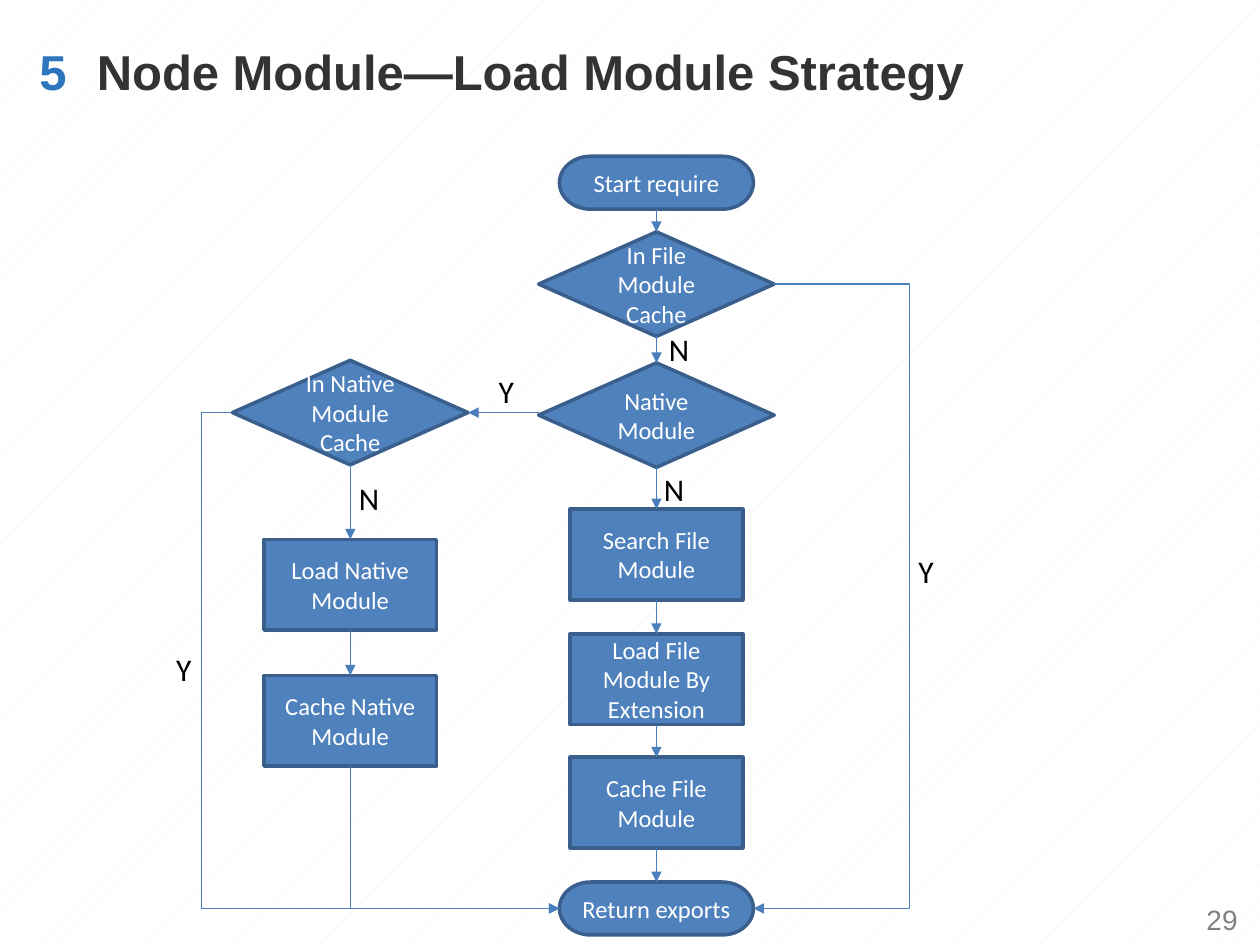
from itertools import pairwise

from lxml import etree
from pptx import Presentation
from pptx.dml.color import RGBColor
from pptx.enum.dml import MSO_PATTERN
from pptx.enum.shapes import MSO_CONNECTOR as Link, MSO_SHAPE as Kind
from pptx.enum.text import MSO_ANCHOR as Anchor, PP_ALIGN as Align
from pptx.oxml.ns import qn
from pptx.util import Inches, Pt

TOP, LEFT, BOTTOM, RIGHT = range(4)

# Width and height of each kind of flowchart step
STEP_SIZES = {
    Kind.FLOWCHART_TERMINATOR: (1.54, 0.42),
    Kind.FLOWCHART_DECISION: (1.87, 0.83),
    Kind.FLOWCHART_PROCESS: (1.37, 0.72),
}

# Kind, top within the chart, wording
MAIN_STEPS = [
    (Kind.FLOWCHART_TERMINATOR, 0, "Start require"),
    (Kind.FLOWCHART_DECISION, 0.6, "In File Module Cache"),
    (Kind.FLOWCHART_DECISION, 1.64, "Native Module"),
    (Kind.FLOWCHART_PROCESS, 2.8, "Search File Module"),
    (Kind.FLOWCHART_PROCESS, 3.79, "Load File Module By Extension"),
    (Kind.FLOWCHART_PROCESS, 4.77, "Cache File Module"),
    (Kind.FLOWCHART_TERMINATOR, 5.76, "Return exports"),
]
NATIVE_STEPS = [
    (Kind.FLOWCHART_DECISION, 1.62, "In Native Module Cache"),
    (Kind.FLOWCHART_PROCESS, 3.04, "Load Native Module"),
    (Kind.FLOWCHART_PROCESS, 4.12, "Cache Native Module"),
]
# Answer, left and top within the chart
ANSWERS = [
    ("Y", 5.89, 3.09), ("Y", 2.56, 1.66), ("Y", 0, 3.87),
    ("N", 3.91, 1.33), ("N", 3.87, 2.44), ("N", 1.45, 2.51),
]


def rgb(color):
    return RGBColor.from_string(color)


def write(shape, text, size, color, font="Calibri", bold=False, align=Align.LEFT):
    frame = shape.text_frame
    frame.word_wrap = True
    frame.text = text
    paragraph = frame.paragraphs[0]
    paragraph.alignment = align
    style = paragraph.runs[0].font
    style.name, style.size, style.bold = font, Pt(size), bold
    style.color.rgb = rgb(color)
    return frame


def add_label(slide, left, top, width, height, *text, **style):
    label = slide.shapes.add_textbox(
        Inches(left), Inches(top), Inches(width), Inches(height))
    return write(label, *text, **style)


def add_step(slide, center, top, kind, text):
    width, height = STEP_SIZES[kind]
    step = slide.shapes.add_shape(
        kind, Inches(center - width / 2), Inches(top), Inches(width), Inches(height))
    step.shadow.inherit = False
    step.fill.solid()
    step.fill.fore_color.rgb = rgb("4F81BD")
    step.line.color.rgb = rgb("3A5F8C")
    step.line.width = Pt(2)
    frame = write(step, text, 14, "FFFFFF", align=Align.CENTER)
    frame.vertical_anchor = Anchor.MIDDLE
    return step


def side_point(step, side):
    x = {LEFT: step.left, RIGHT: step.left + step.width}
    y = {TOP: step.top, BOTTOM: step.top + step.height}
    return (x.get(side, step.left + step.width // 2),
            y.get(side, step.top + step.height // 2))


def add_arrow(slide, start, end, kind=Link.STRAIGHT):
    arrow = slide.shapes.add_connector(kind, *start, *end)
    arrow.line.color.rgb = rgb("4B7EBC")
    arrow.line.width = Pt(0.75)
    properties = arrow.line._get_or_add_ln()
    etree.SubElement(properties, qn("a:tailEnd"), type="triangle")
    etree.SubElement(arrow._element.spPr, qn("a:effectLst"))
    return arrow


def add_elbow(slide, start, end, turn):
    """Run sideways to x = turn, then vertically, then sideways to the end."""
    elbow = add_arrow(slide, start, end, Link.ELBOW)
    ratio = round((turn - start[0]) / (end[0] - start[0]) * 100000)
    guides = elbow._element.spPr.find(qn("a:prstGeom")).get_or_add_avLst()
    etree.SubElement(guides, qn("a:gd"), name="adj1", fmla=f"val {ratio}")


def add_column(slide, center, top, steps):
    column = [add_step(slide, center, top + offset, kind, text)
              for kind, offset, text in steps]
    for upper, lower in pairwise(column):
        arrow = add_arrow(slide, side_point(upper, BOTTOM), side_point(lower, TOP))
        arrow.begin_connect(upper, BOTTOM)
        arrow.end_connect(lower, TOP)
    return column


def add_heading(slide, left, top, width, height):
    number_width = 0.5
    number = add_label(slide, left, top, number_width, height, "5", 28, "2D75BC",
                       font="Arial", bold=True, align=Align.CENTER)
    title = add_label(slide, left + number_width, top, width - number_width, height,
                      "Node Module—Load Module Strategy", 28, "333333",
                      font="Arial", bold=True)
    for frame in (number, title):
        frame.vertical_anchor = Anchor.MIDDLE
        frame.margin_top = Inches(0.1)


def add_flowchart(slide, left, top):
    # Two columns of steps
    main = add_column(slide, left + 3.91, top, MAIN_STEPS)
    native = add_column(slide, left + 1.48, top, NATIVE_STEPS)
    file_cached, is_native, exports = main[1], main[2], main[-1]
    native_cached, cache_native = native[0], native[-1]

    # Level arrow from the main column to the native one
    target = side_point(native_cached, RIGHT)
    branch = add_arrow(slide, (is_native.left, target[1]), target)
    branch.end_connect(native_cached, RIGHT)

    # Ways round to the exports
    below_native = side_point(cache_native, BOTTOM)
    add_elbow(slide, side_point(native_cached, LEFT), side_point(exports, LEFT),
              Inches(left + 0.3))
    add_elbow(slide, below_native, side_point(exports, LEFT), below_native[0])
    add_elbow(slide, side_point(file_cached, RIGHT), side_point(exports, RIGHT),
              Inches(left + 5.92))

    # Answers beside the arrows
    for answer, x, y in ANSWERS:
        add_label(slide, left + x, top + y, 0.42, 0.4, answer, 18, "000000")


def add_page_number(slide, left, top, width, height):
    frame = add_label(slide, left, top, width, height, "29", 16, "808080",
                      font="Arial", align=Align.RIGHT)
    frame.vertical_anchor = Anchor.MIDDLE


def main():
    deck = Presentation()
    deck.slide_width, deck.slide_height = Inches(10), Inches(7.5)
    slide = deck.slides.add_slide(deck.slide_layouts[6])

    # Background
    backdrop = slide.background.fill
    backdrop.patterned()
    backdrop.pattern = MSO_PATTERN.PERCENT_5
    backdrop.fore_color.rgb = rgb("F1F1F1")
    backdrop.back_color.rgb = rgb("FFFFFF")

    add_heading(slide, 0.17, 0.25, 9.25, 0.57)
    add_flowchart(slide, 1.3, 1.24)
    add_page_number(slide, 9.42, 7.1, 0.5, 0.4)
    deck.save("out.pptx")


if __name__ == "__main__":
    main()
